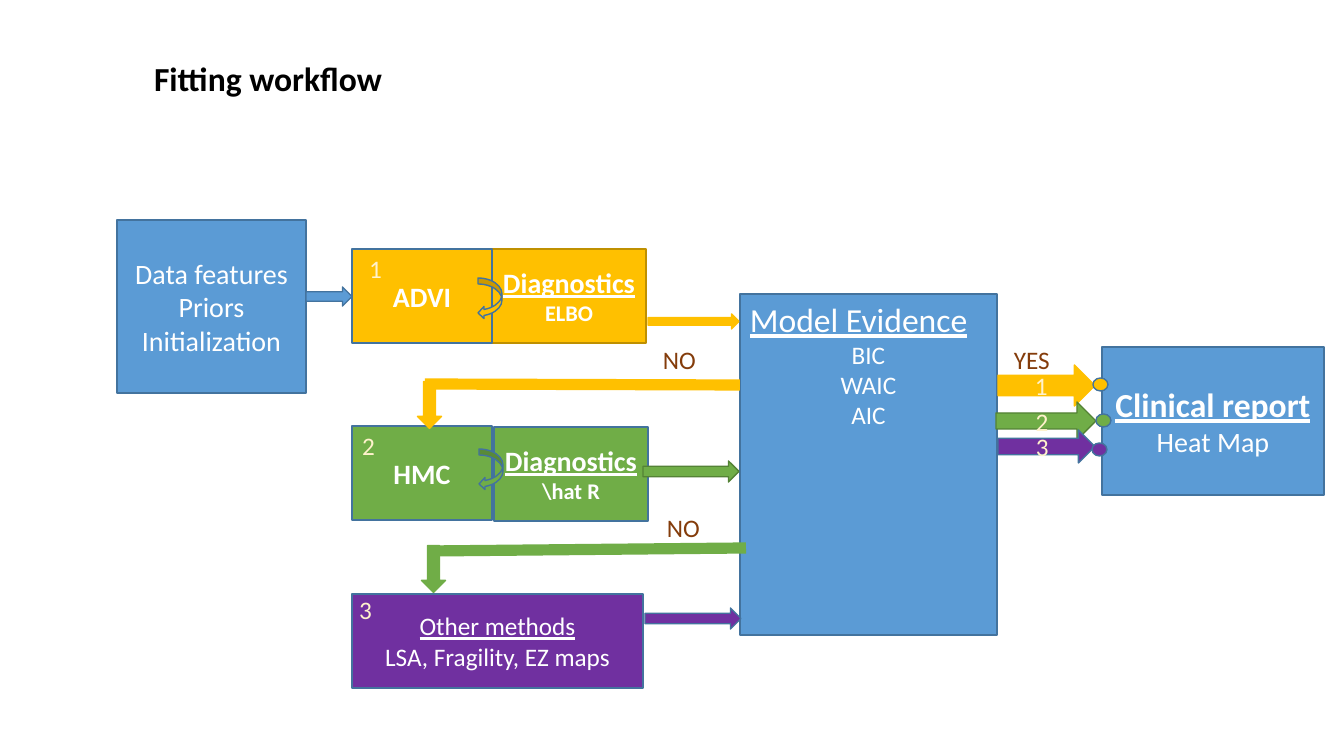
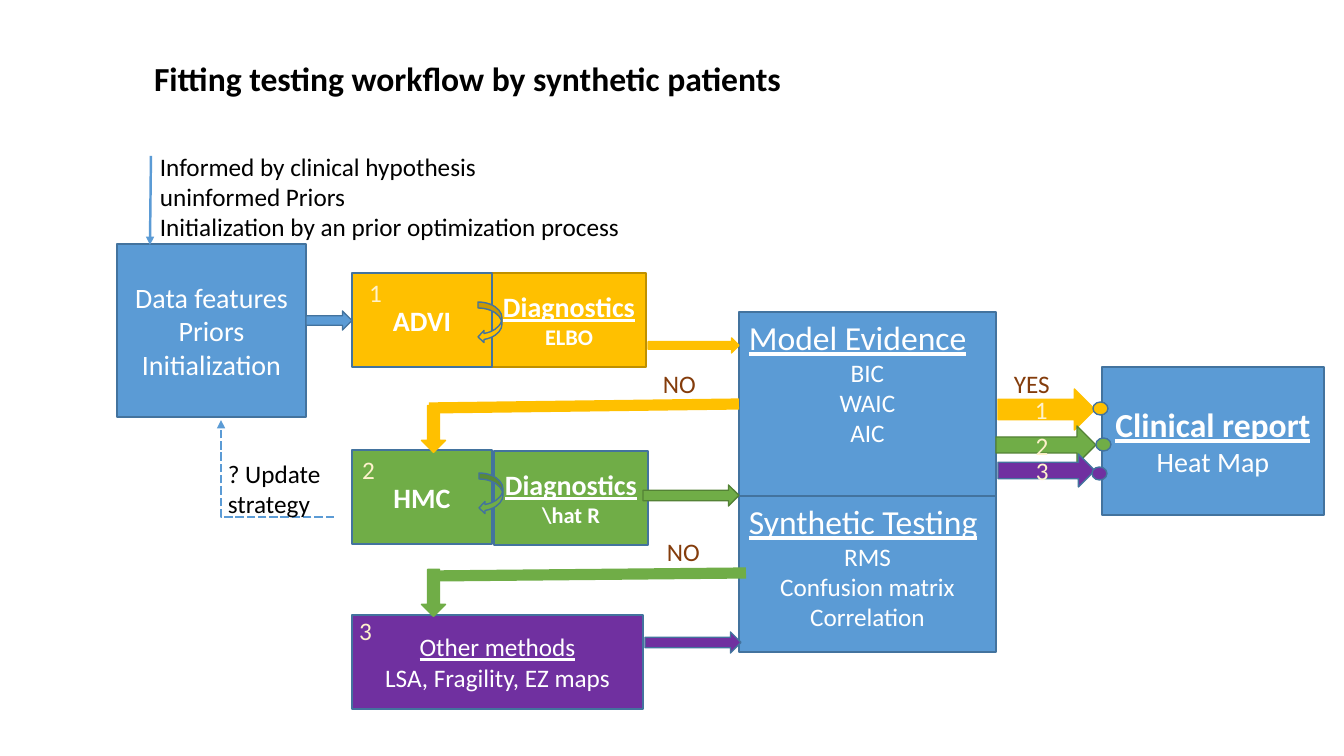
from dataclasses import dataclass
from lxml.etree import SubElement
from pptx import Presentation
from pptx.dml.color import RGBColor
from pptx.enum.dml import MSO_LINE
from pptx.enum.shapes import MSO_CONNECTOR, MSO_SHAPE
from pptx.enum.text import MSO_ANCHOR, MSO_AUTO_SIZE, PP_ALIGN
from pptx.oxml.ns import qn
from pptx.util import Emu, Pt


@dataclass(frozen=True)
class Theme:
    font: str = "Calibri"
    blue: str = "5B9BD5"
    edge: str = "43739E"
    gold: str = "FFC000"
    gold_edge: str = "BF9000"
    green: str = "70AD47"
    green_edge: str = "548235"
    purple: str = "7030A0"
    brown: str = "843C0B"
    cream: str = "FFF2CC"
    white: str = "FFFFFF"
    black: str = "000000"
    head: int = 24
    label: int = 20
    body: int = 18
    small: int = 16


T = Theme()
SCALE = 914400 / 100.8
CENTER, LEFT, JUSTIFY = PP_ALIGN.CENTER, PP_ALIGN.LEFT, PP_ALIGN.JUSTIFY


def px(*lengths):
    return [Emu(round(n * SCALE)) for n in lengths]


def write(tf, text, *, size=T.body, color=T.white, bold=False, underline=False, align=CENTER, first=False):
    p = tf.paragraphs[0] if first else tf.add_paragraph()
    p.alignment = align
    r = p.add_run()
    r.text = text
    f = r.font
    f.name, f.size, f.bold, f.underline = T.font, Pt(size), bold, underline
    f.color.rgb = RGBColor.from_string(color)


def fill_text(tf, lines, **style):
    for i, (text, own) in enumerate(lines):
        write(tf, text, first=i == 0, **{**style, **own})


def shape(s, kind, box, fill, edge=T.edge, lines=(), anchor=MSO_ANCHOR.MIDDLE, rotation=0):
    sp = s.shapes.add_shape(kind, *px(*box))
    sp.shadow.inherit = False
    sp.fill.solid()
    sp.fill.fore_color.rgb = RGBColor.from_string(fill)
    sp.line.color.rgb = RGBColor.from_string(edge)
    sp.line.width = Pt(1)
    sp.rotation = rotation
    tf = sp.text_frame
    tf.word_wrap = True
    tf.vertical_anchor = anchor
    fill_text(tf, lines)
    return sp


def rect(s, box, fill, lines, **kw):
    return shape(s, MSO_SHAPE.RECTANGLE, box, fill, lines=lines, **kw)


def arrow(s, box, fill, edge=T.edge, **kw):
    return shape(s, MSO_SHAPE.RIGHT_ARROW, box, fill, edge, **kw)


def fit(tf):
    tf.word_wrap = False
    tf.auto_size = MSO_AUTO_SIZE.SHAPE_TO_FIT_TEXT
    tf.vertical_anchor = MSO_ANCHOR.TOP


def label(s, box, *texts, color=T.black, align=LEFT):
    tf = s.shapes.add_textbox(*px(*box)).text_frame
    fit(tf)
    fill_text(tf, [(t, {}) for t in texts], color=color, align=align)


def line(s, ends, color, width, kind=MSO_CONNECTOR.STRAIGHT, head=False):
    c = s.shapes.add_connector(kind, *px(*ends))
    c.line.color.rgb = RGBColor.from_string(color)
    c.line.width = Pt(width)
    SubElement(c._element.spPr, qn("a:effectLst"))
    if head:
        SubElement(c.line._get_or_add_ln(), qn("a:tailEnd"), type="triangle")
    return c


def title(s, text, width):
    sp = s.shapes.title
    sp.left, sp.top, sp.width, sp.height = px(144, 53, width, 50)
    fit(sp.text_frame)
    write(sp.text_frame, text, size=T.head, color=T.black, bold=True, align=LEFT, first=True)


def inputs(s, x, y):
    names = ("Data features", "Priors", "Initialization")
    rect(s, (x, y, 189, 173), T.blue, [(n, {"size": T.label}) for n in names])
    arrow(s, (x + 189, y + 67, 46, 19), T.blue)


def method(s, x, y, number, name, check, fill, check_edge, check_at, loop_at, number_dx):
    dx, dy = check_at
    loop_x, loop_y = loop_at
    rect(s, (x + dx, y + dy, 154, 94), fill, [
        ("Diagnostics", {"size": T.label, "bold": True, "underline": True}),
        (check, {"size": T.small, "bold": True})], edge=check_edge)
    rect(s, (x, y, 140, 94), fill, [(name, {"size": T.label, "bold": True})])
    shape(s, MSO_SHAPE.CURVED_LEFT_ARROW, (x + loop_x, y + loop_y, 24, 41), fill)
    label(s, (x + number_dx, y - 1, 33, 40), number, color=T.cream, align=CENTER)


def other_methods(s, x, y):
    rect(s, (x, y, 291, 94), T.purple, [
        ("Other methods", {"underline": True}), ("LSA, Fragility, EZ maps", {})])
    label(s, (x - 3, y - 5, 33, 40), "3", color=T.cream, align=CENTER)


def criteria(s, box, heading, *items):
    head = (heading, {"size": T.head, "underline": True, "align": JUSTIFY})
    rect(s, box, T.blue, [head, *((i, {}) for i in items)], anchor=MSO_ANCHOR.TOP)


def to_evidence(s, y):
    arrow(s, (648, y, 91, 15), T.gold, T.gold)
    arrow(s, (643, y + 147, 96, 21), T.green, T.green_edge)
    arrow(s, (645, y + 294, 96, 21), T.purple)


def fallback(s, start, end, drop_y, no_at, color):
    line(s, (*start, *end), color, 8)
    arrow(s, (end[0] - 19, drop_y, 47, 24), color, color, rotation=90)
    label(s, (*no_at, 54, 40), "NO", color=T.brown)


def to_report(s, x, y):
    routes = [
        ("1", (2, 0, 97, 41), (97, 13), T.gold, T.gold),
        ("2", (0, 37, 100, 38), (100, 49), T.green, T.green_edge),
        ("3", (2, 65, 97, 33), (96, 78), T.purple, T.edge)]
    for number, (dx, dy, w, h), _, fill, edge in routes:
        sp = arrow(s, (x + dx, y + dy, w, h), fill, edge, lines=[(number, {"color": T.cream})])
        if number == "2":
            sp.adjustments[0] = 0.42
    for _, _, (dx, dy), fill, _ in routes:
        shape(s, MSO_SHAPE.OVAL, (x + dx, y + dy, 15, 13), fill)
    label(s, (x + 8, y - 26, 56, 40), "YES", color=T.brown)


def report(s, x, y):
    rect(s, (x, y, 222, 148), T.blue, [
        ("Clinical report ", {"size": T.head, "bold": True, "underline": True}),
        ("Heat Map", {"size": T.label})])


def workflow(s, dy, other_y, report_y, panels, gold_line, green_line):
    inputs(s, 117, 220 + dy)
    method(s, 352, 249 + dy, "1", "ADVI", "ELBO", T.gold, T.gold_edge, (140, 0), (126, 29), 7)
    method(s, 352, 426 + dy, "2", "HMC", "\\hat R", T.green, T.edge, (142, 1), (127, 23), 0)
    other_methods(s, 352, other_y)
    for panel in panels:
        criteria(s, *panel)
    to_evidence(s, 314 + dy)
    fallback(s, *gold_line, 393 + dy, (653, 339 + dy), T.gold)
    fallback(s, *green_line, 557 + dy, (657, 507 + dy), T.green)
    report(s, 1102, report_y)
    to_report(s, 996, 365 + dy)


def prior_notes(s, x, y):
    line(s, (x + 1, y + 10, x, y + 99), T.blue, 1.75, head=True)
    label(s, (x, y, 486, 101), "Informed by clinical hypothesis", "uninformed Priors",
          "Initialization by an prior optimization process")


def update_loop(s, x, y):
    c = line(s, (x, y, x + 113, y + 97), T.blue, 2, MSO_CONNECTOR.ELBOW, head=True)
    c.line.dash_style = MSO_LINE.SQUARE_DOT
    c._element.spPr.find(qn("a:prstGeom")).set("prst", "bentConnector2")
    c._element.spPr.find(qn("a:xfrm")).set("rot", "10800000")
    label(s, (x - 3, y + 33, 120, 71), "? Update ", "strategy")


def fitting_slide(s):
    title(s, "Fitting workflow", 252)
    workflow(s, 0, 594, 347,
             [((740, 294, 257, 341), "Model Evidence", "BIC", "WAIC", "AIC")],
             ((740, 385), (425, 384)), ((746, 548), (429, 551)))


def testing_slide(s):
    title(s, "Fitting testing workflow by synthetic patients ", 663)
    workflow(s, 24, 615, 367,
             [((739, 312, 257, 184), "Model Evidence", "BIC", "WAIC", "AIC"),
              ((739, 496, 257, 156), "Synthetic Testing", "RMS", "Confusion matrix", "Correlation")],
             ((739, 404), (429, 408)), ((746, 573), (429, 576)))
    update_loop(s, 221, 420)
    prior_notes(s, 150, 146)


prs = Presentation()
prs.slide_width, prs.slide_height = px(1344, 756)
for build in (fitting_slide, testing_slide):
    build(prs.slides.add_slide(prs.slide_layouts[5]))
prs.save("out.pptx")
